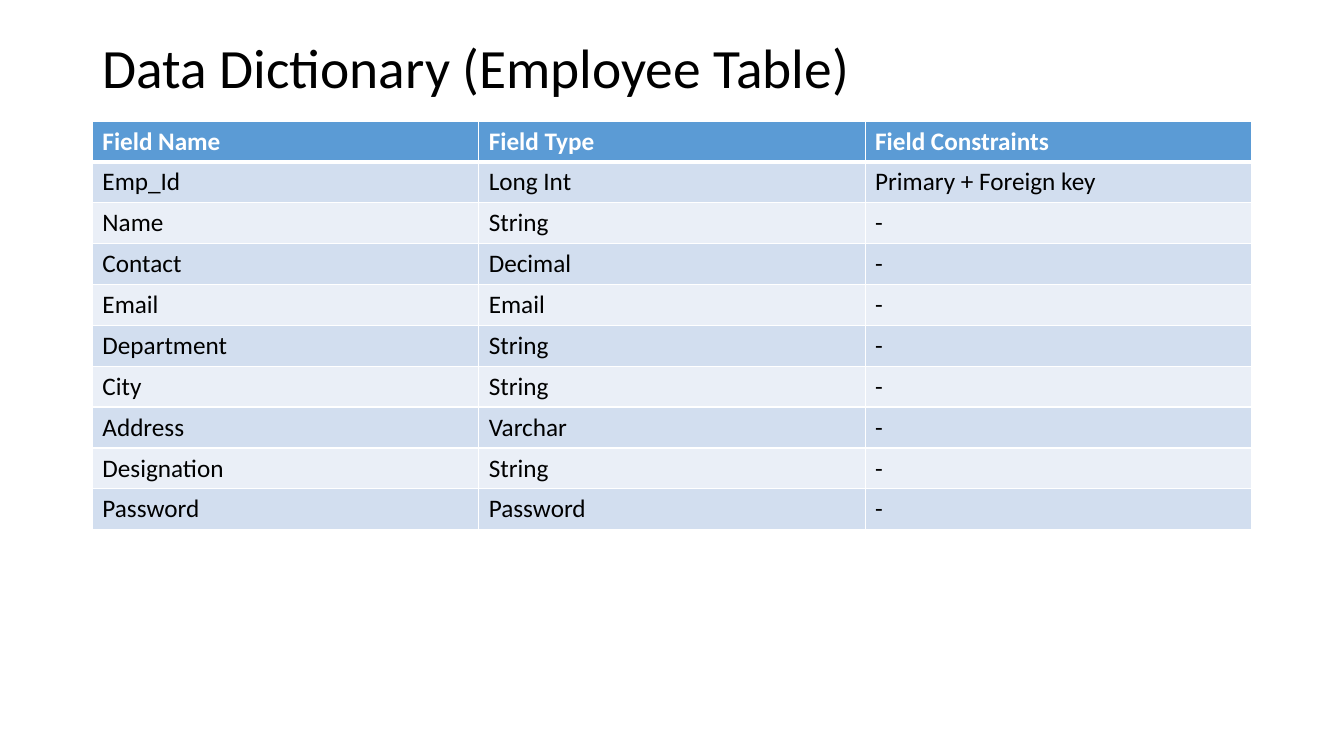
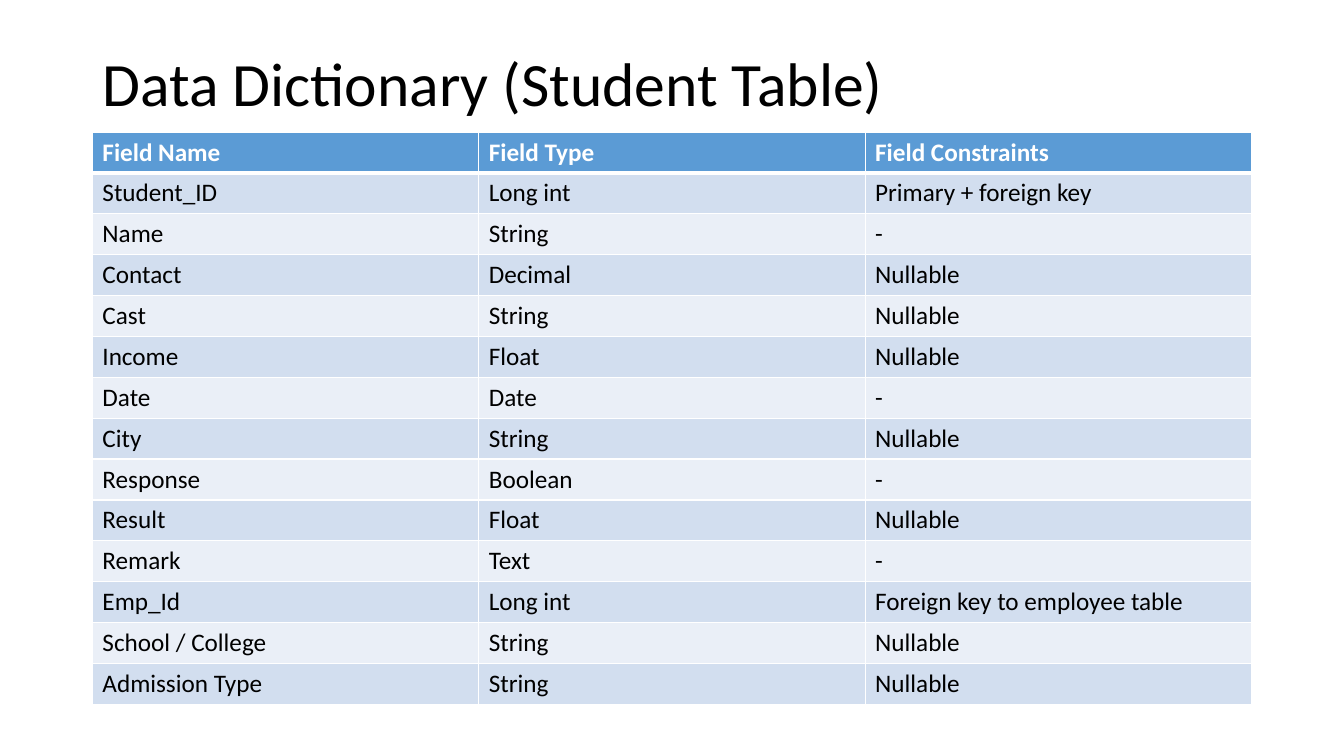
"""Build two data dictionary slides, one for employees and one for students."""
from lxml.etree import SubElement
from pptx import Presentation
from pptx.dml.color import RGBColor
from pptx.enum.text import MSO_ANCHOR, MSO_AUTO_SIZE, PP_ALIGN
from pptx.oxml.ns import qn
from pptx.util import Pt

COLOURS = {
    "text": "000000",
    "header_text": "FFFFFF",
    "border": "FFFFFF",
    "header": "5B9BD5",
    "odd_row": "D2DEEF",
    "even_row": "EAEFF7",
}
FONT = "Calibri"
LEFT, WIDTH = 66, 828
TITLE_TOP = 28.8
ROW_HEIGHT = 29.2
HEADINGS = ("Field Name", "Field Type", "Field Constraints")

dictionaries = [
    {
        "title": "Data Dictionary (Employee Table)",
        "title_size": 39.6,
        "title_height": 43.2,
        "table_top": 86.4,
        "fields": [
            ("Emp_Id", "Long Int", "Primary + Foreign key"),
            ("Name", "String", "-"),
            ("Contact", "Decimal", "-"),
            ("Email", "Email", "-"),
            ("Department", "String", "-"),
            ("City", "String", "-"),
            ("Address", "Varchar", "-"),
            ("Designation", "String", "-"),
            ("Password", "Password", "-"),
        ],
    },
    {
        "title": "Data Dictionary (Student Table)",
        "title_size": 44,
        "title_height": 65.5,
        "table_top": 94.3,
        "fields": [
            ("Student_ID", "Long int", "Primary + foreign key"),
            ("Name", "String", "-"),
            ("Contact", "Decimal", "Nullable"),
            ("Cast", "String", "Nullable"),
            ("Income", "Float", "Nullable"),
            ("Date", "Date", "-"),
            ("City", "String", "Nullable"),
            ("Response", "Boolean", "-"),
            ("Result", "Float", "Nullable"),
            ("Remark", "Text", "-"),
            ("Emp_Id", "Long int", "Foreign key to employee table"),
            ("School / College", "String", "Nullable"),
            ("Admission Type", "String", "Nullable"),
        ],
    },
]


def style_font(font, size, colour, bold=False):
    font.name = FONT
    font.size = Pt(size)
    font.bold = bold
    font.color.rgb = RGBColor.from_string(COLOURS[colour])


def add_borders(cell, widths):
    properties = cell._tc.get_or_add_tcPr()
    for position, (side, width) in enumerate(widths.items()):
        line = SubElement(properties, qn(f"a:ln{side}"), w=str(Pt(width)))
        fill = SubElement(line, qn("a:solidFill"))
        SubElement(fill, qn("a:srgbClr"), val=COLOURS["border"])
        properties.insert(position, line)


presentation = Presentation()
presentation.slide_width = Pt(960)
presentation.slide_height = Pt(540)
title_only = presentation.slide_layouts[5]

for dictionary in dictionaries:
    slide = presentation.slides.add_slide(title_only)

    title = slide.shapes.title
    title.left, title.top = Pt(LEFT), Pt(TITLE_TOP)
    title.width, title.height = Pt(WIDTH), Pt(dictionary["title_height"])
    title.text_frame.text = dictionary["title"]
    title.text_frame.auto_size = MSO_AUTO_SIZE.NONE
    title.text_frame.vertical_anchor = MSO_ANCHOR.MIDDLE
    heading = title.text_frame.paragraphs[0]
    heading.alignment = PP_ALIGN.LEFT
    heading.line_spacing = 0.9
    style_font(heading.font, dictionary["title_size"], "text")

    rows = [HEADINGS, *dictionary["fields"]]
    table = slide.shapes.add_table(
        len(rows), len(HEADINGS), Pt(LEFT), Pt(dictionary["table_top"]),
        Pt(WIDTH), Pt(ROW_HEIGHT * len(rows))).table

    for row_number, row in enumerate(rows):
        table.rows[row_number].height = Pt(ROW_HEIGHT)
        is_header = row_number == 0
        band = "header" if is_header else "odd_row" if row_number % 2 else "even_row"
        borders = {"L": 1, "R": 1, "T": 3 if row_number == 1 else 1, "B": 3 if is_header else 1}
        for column_number, entry in enumerate(row):
            cell = table.cell(row_number, column_number)
            cell.text = entry
            cell.fill.solid()
            cell.fill.fore_color.rgb = RGBColor.from_string(COLOURS[band])
            text_colour = "header_text" if is_header else "text"
            style_font(cell.text_frame.paragraphs[0].font, 18, text_colour, is_header)
            add_borders(cell, borders)

presentation.save("out.pptx")
